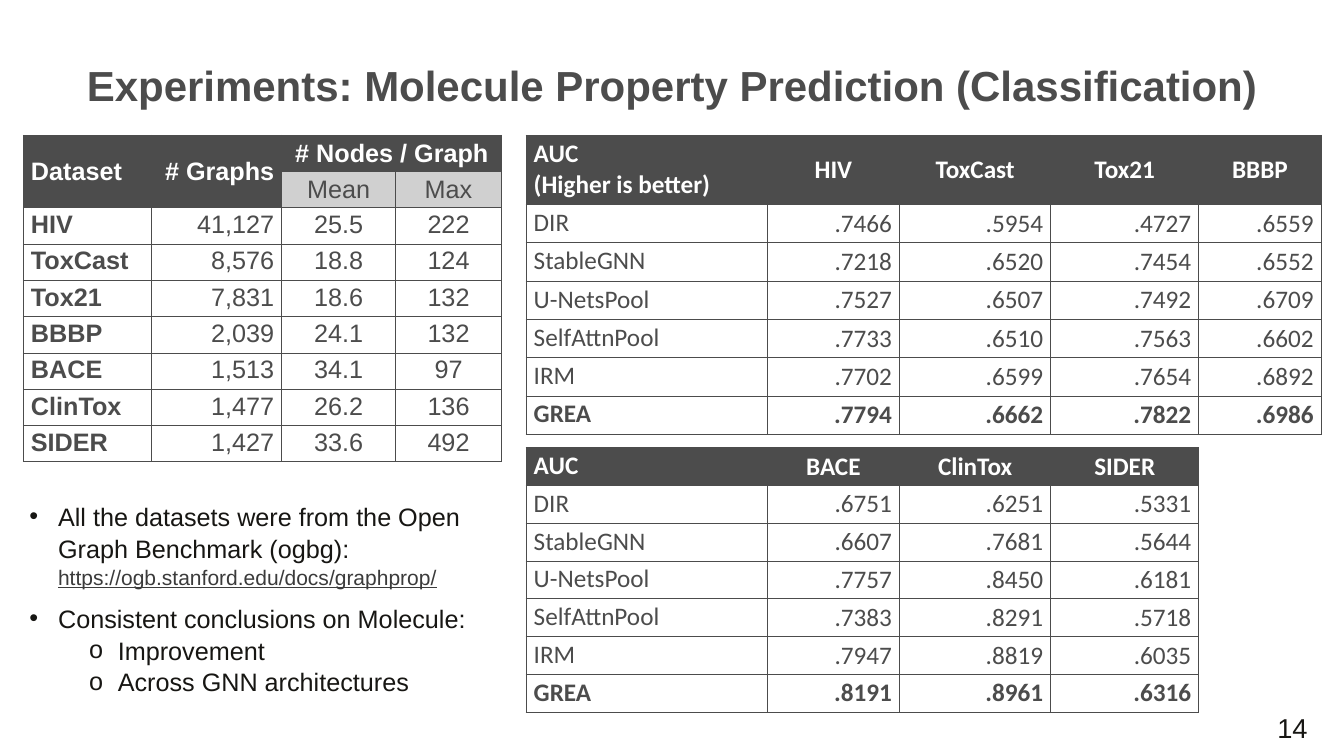
from dataclasses import dataclass
from typing import Optional, Sequence

from lxml import etree
from pptx import Presentation, util as u
from pptx.dml.color import RGBColor
from pptx.enum import text
from pptx.oxml.ns import qn

LEFT, CENTER, RIGHT = text.PP_ALIGN.LEFT, text.PP_ALIGN.CENTER, text.PP_ALIGN.RIGHT
TOP, MIDDLE = text.MSO_ANCHOR.TOP, text.MSO_ANCHOR.MIDDLE
PAGE_WIDTH, PAGE_HEIGHT = u.Inches(17.78), u.Inches(10)


@dataclass(frozen=True)
class Theme:
    dark: str = "4C4C4C"
    light: str = "D0D0D0"
    white: str = "FFFFFF"
    ink: str = "171613"
    link: str = "3B3B3B"
    sans: str = "Arial"
    result: str = "Calibri"
    title: int = 40
    number: int = 26
    body: int = 24
    small: int = 20


@dataclass(frozen=True)
class Frame:
    """Position and size in percent of the slide."""
    left: float
    top: float
    width: float
    height: float


@dataclass(frozen=True)
class Bullet:
    words: str
    mark: str = "•"
    level: int = 0
    indent: float = 0.38
    before: float = 0
    address: str = ""


@dataclass(frozen=True)
class Results:
    """Scores per method; widths and heights in percent of the slide."""
    top: float
    corner: Sequence[str]
    datasets: Sequence[str]
    scores: Sequence[str]
    header_height: float
    row_height: float


THEME = Theme()
GRID_TOP = 17.9
RESULT_LEFT = 39.15
RESULT_COLUMNS = (17.94, 9.84, 11.25, 11.02, 9.11)
METHODS = ("DIR", "StableGNN", "U-NetsPool", "SelfAttnPool", "IRM", "GREA")
DATASET_COLUMNS = (9.5, 9.73, 8.44, 7.93)
DATASET_ROW = 4.72
DATASETS = (
    ("HIV", "41,127", "25.5", "222"),
    ("ToxCast", "8,576", "18.8", "124"),
    ("Tox21", "7,831", "18.6", "132"),
    ("BBBP", "2,039", "24.1", "132"),
    ("BACE", "1,513", "34.1", "97"),
    ("ClinTox", "1,477", "26.2", "136"),
    ("SIDER", "1,427", "33.6", "492"),
)
RESULTS = (
    Results(GRID_TOP, ("AUC", "(Higher is better)"), ("HIV", "ToxCast", "Tox21", "BBBP"),
            (".7466 .5954 .4727 .6559", ".7218 .6520 .7454 .6552", ".7527 .6507 .7492 .6709",
             ".7733 .6510 .7563 .6602", ".7702 .6599 .7654 .6892", ".7794 .6662 .7822 .6986"),
            9.15, 5.07),
    Results(59.2, ("AUC",), ("BACE", "ClinTox", "SIDER"),
            (".6751 .6251 .5331", ".6607 .7681 .5644", ".7757 .8450 .6181",
             ".7383 .8291 .5718", ".7947 .8819 .6035", ".8191 .8961 .6316"),
            5, 5),
)
BULLETS = (
    Bullet("All the datasets were from the Open Graph Benchmark (ogbg): ",
           address="https://ogb.stanford.edu/docs/graphprop/"),
    Bullet("Consistent conclusions on Molecule:", before=11.5),
    Bullet("Improvement", mark="o", level=1, indent=1.17),
    Bullet("Across GNN architectures", mark="o", level=1, indent=1.17),
)


def across(percent: float) -> int:
    return round(PAGE_WIDTH * percent / 100)


def down(percent: float) -> int:
    return round(PAGE_HEIGHT * percent / 100)


def place(frame: Frame) -> tuple:
    return across(frame.left), down(frame.top), across(frame.width), down(frame.height)


def write(para, words: str, *, size: int = THEME.body, face: str = THEME.sans,
          color: str = THEME.dark, bold: bool = False, underline: bool = False) -> None:
    span = para.add_run()
    span.text = words
    span.font.size, span.font.name = u.Pt(size), face
    span.font.bold, span.font.underline = bold, underline
    span.font.color.rgb = RGBColor.from_string(color)


def add_box(page, frame: Frame, anchor=TOP, margins: tuple = (0.1, 0.05)):
    body = page.shapes.add_textbox(*place(frame)).text_frame
    body.word_wrap, body.vertical_anchor = True, anchor
    body.margin_left = body.margin_right = u.Inches(margins[0])
    body.margin_top = body.margin_bottom = u.Inches(margins[1])
    return body


def add_line(page, frame: Frame, words: str, align, spacing: float = 1, **style) -> None:
    para = add_box(page, frame, MIDDLE, (0.16, 0.08)).paragraphs[0]
    para.alignment, para.line_spacing = align, spacing
    write(para, words, **style)


def add_bullets(page, frame: Frame, bullets: Sequence[Bullet]) -> None:
    body = add_box(page, frame)
    for index, bullet in enumerate(bullets):
        para = body.add_paragraph() if index else body.paragraphs[0]
        para.level, para.line_spacing = bullet.level, 1.05
        if bullet.before:
            para.space_before = u.Pt(bullet.before)
        properties = para._p.get_or_add_pPr()
        properties.set("marL", str(u.Inches(bullet.indent)))
        properties.set("indent", str(-u.Inches(0.38)))
        etree.SubElement(properties, qn("a:buFont"), typeface=THEME.sans)
        etree.SubElement(properties, qn("a:buChar"), char=bullet.mark)
        write(para, bullet.words, color=THEME.ink)
        if bullet.address:
            write(para, bullet.address, size=THEME.small, color=THEME.link, underline=True)


def add_grid(page, left: float, top: float, columns: Sequence[float], rows: Sequence[float]):
    frame = Frame(left, top, sum(columns), sum(rows))
    grid = page.shapes.add_table(len(rows), len(columns), *place(frame)).table
    grid.first_row = grid.horz_banding = False
    for column, width in zip(grid.columns, columns):
        column.width = across(width)
    for row, height in zip(grid.rows, rows):
        row.height = down(height)
    for cell in grid.iter_cells():
        cell.margin_top = cell.margin_bottom = u.Inches(0.04)
        for side in ("a:lnL", "a:lnR", "a:lnT", "a:lnB"):
            border = etree.SubElement(cell._tc.get_or_add_tcPr(), qn(side), w=str(u.Pt(1)))
            paint = etree.SubElement(border, qn("a:solidFill"))
            etree.SubElement(paint, qn("a:srgbClr"), val=THEME.dark)
        cell.fill.background()
    return grid


def fill_cell(cell, *lines: str, align=LEFT, anchor=MIDDLE,
              fill: Optional[str] = None, **style) -> None:
    cell.vertical_anchor = anchor
    if fill:
        cell.fill.solid()
        cell.fill.fore_color.rgb = RGBColor.from_string(fill)
    for index, words in enumerate(lines):
        para = cell.text_frame.add_paragraph() if index else cell.text_frame.paragraphs[0]
        para.alignment = align
        write(para, words, **style)


def add_datasets(page) -> None:
    grid = add_grid(page, 1.74, GRID_TOP, DATASET_COLUMNS, [DATASET_ROW] * (len(DATASETS) + 2))
    for start, end in (((0, 0), (1, 0)), ((0, 1), (1, 1)), ((0, 2), (0, 3))):
        grid.cell(*start).merge(grid.cell(*end))
    aligns = (LEFT, RIGHT, CENTER, CENTER)
    for column, words in enumerate(("Dataset", "# Graphs", "# Nodes / Graph")):
        fill_cell(grid.cell(0, column), words, align=aligns[column], fill=THEME.dark,
                  color=THEME.white, bold=True)
    for column, words in enumerate(("Mean", "Max"), 2):
        fill_cell(grid.cell(1, column), words, align=CENTER, fill=THEME.light)
    for row, values in enumerate(DATASETS, 2):
        for column, words in enumerate(values):
            fill_cell(grid.cell(row, column), words, align=aligns[column], anchor=TOP,
                      bold=column == 0)


def add_results(page, results: Results) -> None:
    columns = RESULT_COLUMNS[:len(results.datasets) + 1]
    rows = [results.header_height] + [results.row_height] * len(METHODS)
    grid = add_grid(page, RESULT_LEFT, results.top, columns, rows)
    header = dict(fill=THEME.dark, color=THEME.white, face=THEME.result, bold=True)
    fill_cell(grid.cell(0, 0), *results.corner, anchor=TOP, **header)
    for column, words in enumerate(results.datasets, 1):
        fill_cell(grid.cell(0, column), words, align=CENTER, **header)
    for row, (method, scores) in enumerate(zip(METHODS, results.scores), 1):
        style = dict(face=THEME.result, bold=method == METHODS[-1])
        fill_cell(grid.cell(row, 0), method, anchor=TOP, **style)
        for column, score in enumerate(scores.split(), 1):
            fill_cell(grid.cell(row, column), score, align=RIGHT, **style)


def main() -> None:
    deck = Presentation()
    deck.slide_width, deck.slide_height = PAGE_WIDTH, PAGE_HEIGHT
    page = deck.slides.add_slide(deck.slide_layouts[6])
    add_line(page, Frame(5, 8.4, 90, 6.8),
             "Experiments: Molecule Property Prediction (Classification)",
             CENTER, spacing=0.8, size=THEME.title, bold=True)
    add_line(page, Frame(92.97, 94.2, 5.23, 4), "14", RIGHT, size=THEME.number, color=THEME.ink)
    add_datasets(page)
    add_bullets(page, Frame(1.63, 65.6, 35.6, 26.3), BULLETS)
    for results in RESULTS:
        add_results(page, results)
    deck.save("out.pptx")


if __name__ == "__main__":
    main()
